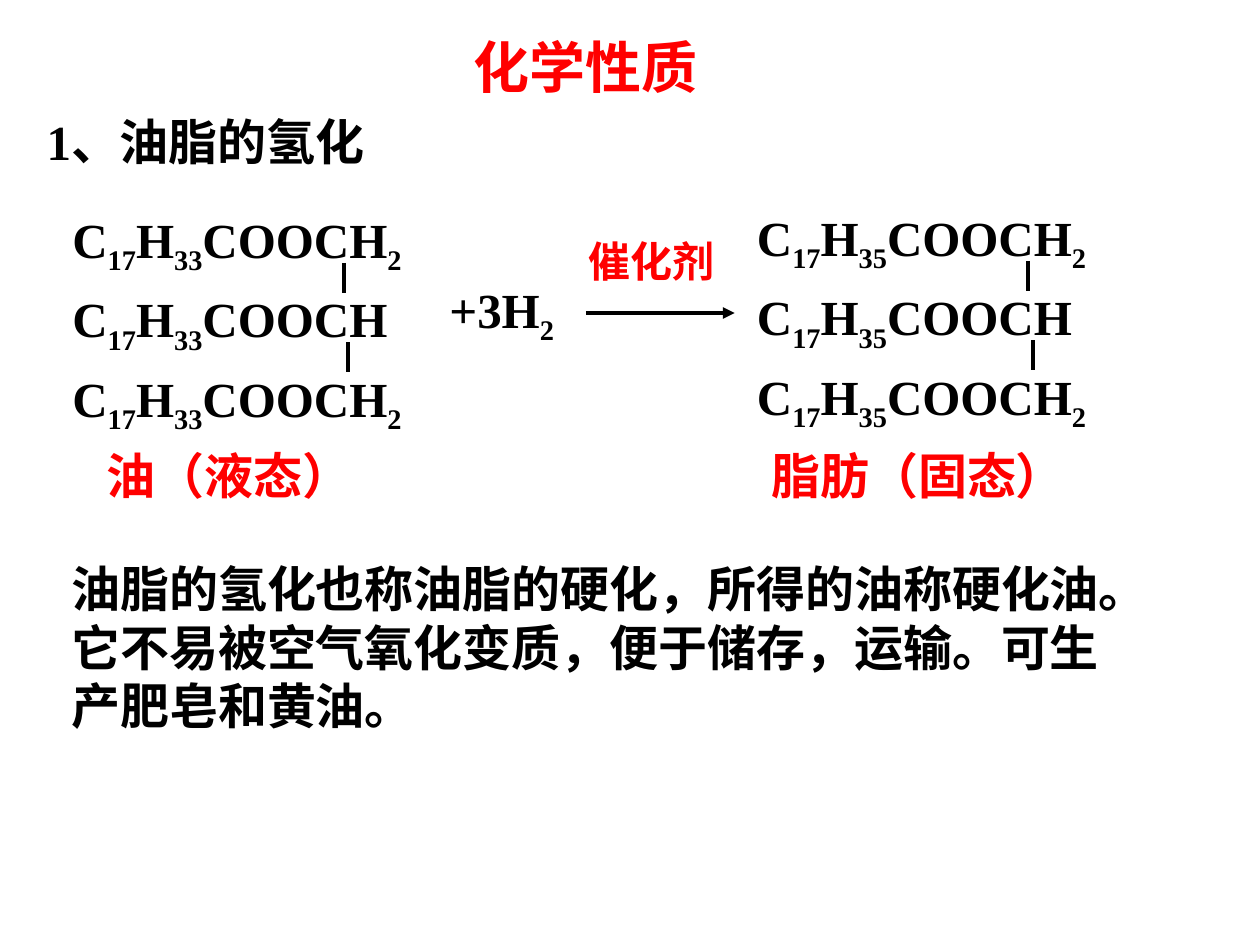
from lxml.etree import SubElement
from pptx import Presentation
from pptx.dml.color import RGBColor
from pptx.enum.shapes import MSO_CONNECTOR
from pptx.enum.text import MSO_AUTO_SIZE
from pptx.oxml.ns import qn
from pptx.util import Cm, Pt

COLORS = {"text": "000000", "accent": "FF0000"}
FONT = "Times New Roman"
ROW_PITCH = 1.6
BOND_LENGTH = 0.6


def add_text(parent, left, top, width, height, parts, color="text", size=28):
    """Place one line of text; every second part is a subscript."""
    box = parent.shapes.add_textbox(Cm(left), Cm(top), Cm(width), Cm(height))
    frame = box.text_frame
    frame.word_wrap = True
    frame.auto_size = MSO_AUTO_SIZE.SHAPE_TO_FIT_TEXT
    para = frame.paragraphs[0]
    for index, part in enumerate(parts):
        span = para.add_run()
        span.text = part
        span.font.name = FONT
        span.font.size = Pt(size)
        span.font.bold = True
        span.font.color.rgb = RGBColor.from_string(COLORS[color])
        if index % 2:
            span._r.get_or_add_rPr().set("baseline", "-25000")


def add_line(parent, x1, y1, x2, y2, arrow=False):
    line = parent.shapes.add_connector(
        MSO_CONNECTOR.STRAIGHT, Cm(x1), Cm(y1), Cm(x2), Cm(y2))
    line.line.color.rgb = RGBColor.from_string(COLORS["text"])
    line.line.width = Pt(2.25)
    if arrow:
        SubElement(line.line._get_or_add_ln(), qn("a:tailEnd"), type="triangle")
    SubElement(line._element.spPr, qn("a:effectLst"))


def add_glyceride(parent, left, top, hydrogens):
    """Three ester rows joined by two vertical bonds."""
    chain = ["C", "17", "H", hydrogens, "COOCH"]
    rows = [(7.6, chain + ["2"]), (7.2, chain), (8.2, chain + ["2"])]
    for index, (width, parts) in enumerate(rows):
        add_text(parent, left, top + index * ROW_PITCH, width, 1.6, parts)
    for index, offset in enumerate((5.72, 5.81)):
        x, y = left + offset, top + 1.2 + index * ROW_PITCH
        add_line(parent, x, y, x, y + BOND_LENGTH)


def add_reaction(page, left, top):
    group = page.shapes.add_group_shape()
    add_glyceride(group, left, top, "33")
    # Hydrogen, catalyst and reaction arrow
    add_text(group, left + 7.6, top + 1.4, 3.4, 1.6, ["+3H", "2"])
    add_line(group, left + 10.6, top + 2.21, left + 13.6, top + 2.21, arrow=True)
    add_text(group, left + 10.4, top + 0.53, 3.4, 1.27, ["催化剂"], "accent", 24)
    add_glyceride(group, left + 13.8, top - 0.04, "35")


def add_headings(page, left, top):
    add_text(page, left + 8.61, top, 6, 1.62, ["化学性质"], "accent", 32)
    add_text(page, left, top + 1.6, 7.4, 1.45, ["1、油脂的氢化"])


def add_state_labels(page, left, top):
    add_text(page, left, top, 5.6, 1.45, ["油（液态）"], "accent")
    add_text(page, left + 13.4, top, 7.2, 1.45, ["脂肪（固态）"], "accent")


def main():
    deck = Presentation()
    deck.slide_width, deck.slide_height = Cm(25.4), Cm(19.05)
    page = deck.slides.add_slide(deck.slide_layouts[6])

    add_headings(page, 0.69, 0.53)
    add_reaction(page, 1.21, 4.1)
    add_state_labels(page, 1.9, 8.86)
    # Explanation
    add_text(page, 1.19, 11.13, 22.02, 3.81, [
        "油脂的氢化也称油脂的硬化，所得的油称硬化油。"
        "它不易被空气氧化变质，便于储存，运输。可生产肥皂和黄油。"])

    deck.save("out.pptx")


if __name__ == "__main__":
    main()
